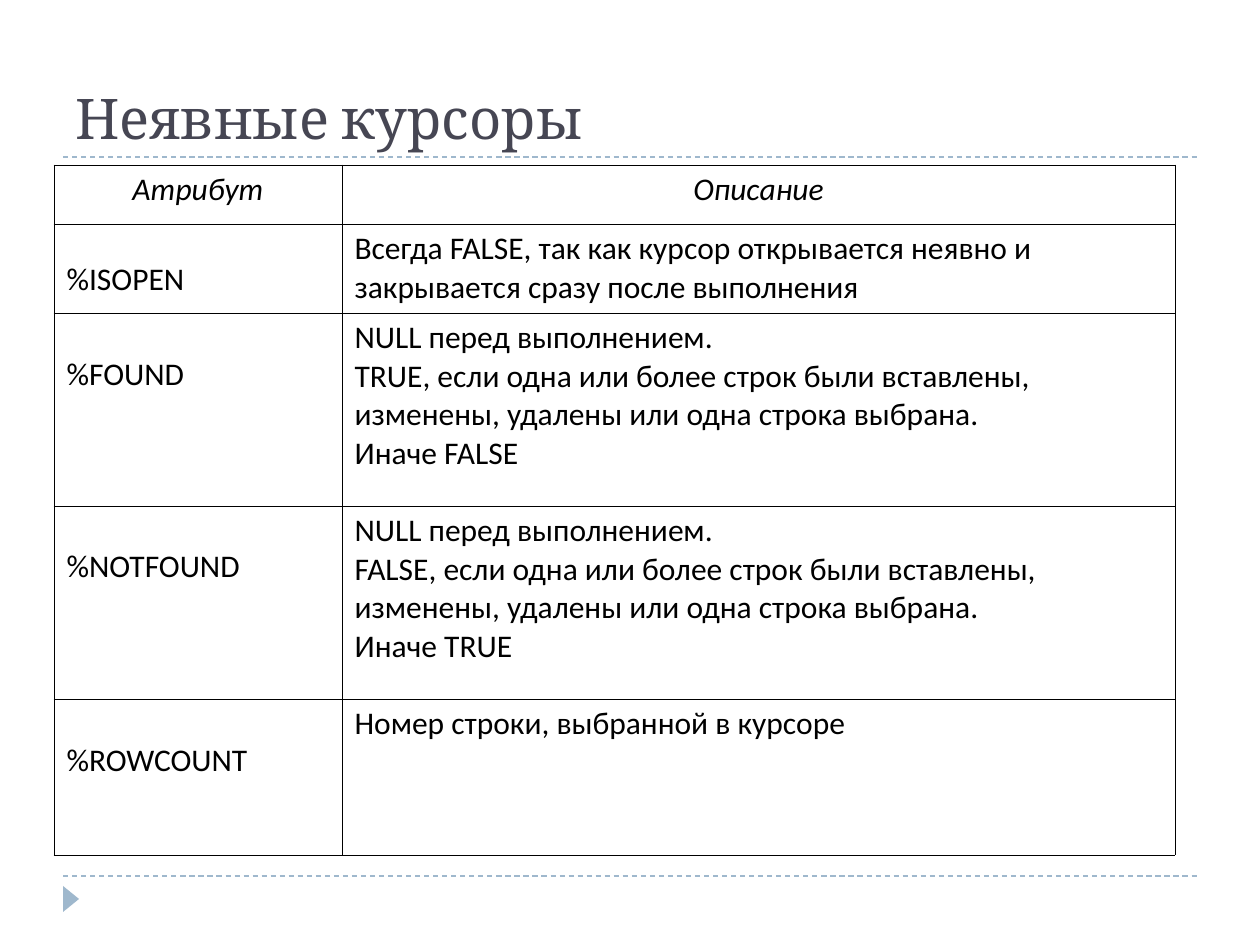
from dataclasses import dataclass

from lxml import etree
from pptx import Presentation
from pptx.dml.color import RGBColor as RGB
from pptx.enum.dml import MSO_LINE as Dash
from pptx.enum.shapes import MSO_CONNECTOR as Connector, MSO_SHAPE as Shape
from pptx.enum.text import MSO_ANCHOR as Anchor, PP_ALIGN as Align
from pptx.oxml.ns import qn
from pptx.util import Emu, Pt

SCALE = 914400 / 126  # EMU in one px


@dataclass(frozen=True)
class Theme:
    title: str = "464653"
    ink: str = "000000"
    accent: str = "9FB8CD"
    title_font: str = "Cambria"
    body_font: str = "Calibri"
    title_size: int = 32
    body_size: int = 18
    rule_width: float = 0.75
    border_width: float = 0.45


THEME = Theme()

COLUMNS = (288, 833)
ROW_HEIGHTS = (59, 89, 193, 193, 156)
CELL_MARGIN = 6
HEADINGS = ("Атрибут", "Описание")
# Attribute, its drop below the row's first line in px, description
ATTRIBUTES = (
    ("%ISOPEN", 31, ("Всегда FALSE, так как курсор открывается неявно и "
                     "закрывается сразу после выполнения",)),
    ("%FOUND", 37, ("NULL перед выполнением.",
                    "TRUE, если одна или более строк были вставлены, "
                    "изменены, удалены или одна строка выбрана.",
                    "Иначе FALSE")),
    ("%NOTFOUND", 36, ("NULL перед выполнением.",
                       "FALSE, если одна или более строк были вставлены, "
                       "изменены, удалены или одна строка выбрана.",
                       "Иначе TRUE")),
    ("%ROWCOUNT", 37, ("Номер строки, выбранной в курсоре",)),
)


def px(*lengths):
    return [Emu(round(length * SCALE)) for length in lengths]


def write(frame, *lines, font=THEME.body_font, size=THEME.body_size,
          color=THEME.ink, italic=False, align=Align.LEFT):
    frame.word_wrap = True
    for index, line in enumerate(lines):
        para = frame.add_paragraph() if index else frame.paragraphs[0]
        para.alignment = align
        span = para.add_run()
        span.text = line
        span.font.name = font
        span.font.size = Pt(size)
        span.font.italic = italic
        span.font.color.rgb = RGB.from_string(color)


def add_title(page, text):
    box = page.shapes.add_textbox(*px(63, 21, 1134, 136))
    box.text_frame.vertical_anchor = Anchor.BOTTOM
    write(box.text_frame, text, font=THEME.title_font,
          size=THEME.title_size, color=THEME.title)


def add_rule(page, top):
    rule = page.shapes.add_connector(Connector.STRAIGHT,
                                     *px(63, top, 1197, top))
    rule.line.color.rgb = RGB.from_string(THEME.accent)
    rule.line.width = Pt(THEME.rule_width)
    rule.line.dash_style = Dash.DASH
    etree.SubElement(rule._element.spPr, qn("a:effectLst"))


def add_marker(page):
    marker = page.shapes.add_shape(Shape.ISOSCELES_TRIANGLE,
                                   *px(58, 891, 26, 16))
    marker.rotation = 90
    marker.shadow.inherit = False
    marker.fill.solid()
    marker.fill.fore_color.rgb = RGB.from_string(THEME.accent)
    marker.line.fill.background()


def add_borders(cell):
    properties = cell._tc.get_or_add_tcPr()
    for side in ("a:lnL", "a:lnR", "a:lnT", "a:lnB"):
        border = etree.SubElement(properties, qn(side),
                                  w=str(Pt(THEME.border_width)))
        fill = etree.SubElement(border, qn("a:solidFill"))
        etree.SubElement(fill, qn("a:srgbClr"), val=THEME.ink)


def fill_cell(cell, *lines, drop=0, **style):
    add_borders(cell)
    cell.fill.background()
    cell.margin_top, cell.margin_bottom = px(CELL_MARGIN + drop, CELL_MARGIN)
    write(cell.text_frame, *lines, **style)


def add_attribute_table(page):
    frame = page.shapes.add_table(
        len(ROW_HEIGHTS), len(COLUMNS),
        *px(54, 165, sum(COLUMNS), sum(ROW_HEIGHTS)))
    table = frame.table
    table.first_row = table.horz_banding = False
    for column, width in zip(table.columns, px(*COLUMNS)):
        column.width = width
    for row, height in zip(table.rows, px(*ROW_HEIGHTS)):
        row.height = height

    for index, heading in enumerate(HEADINGS):
        fill_cell(table.cell(0, index), heading,
                  italic=True, align=Align.CENTER)
    for index, (name, drop, description) in enumerate(ATTRIBUTES, start=1):
        fill_cell(table.cell(index, 0), name, drop=drop)
        fill_cell(table.cell(index, 1), *description)


def main():
    deck = Presentation()
    deck.slide_width, deck.slide_height = px(1260, 945)
    page = deck.slides.add_slide(deck.slide_layouts[6])

    # Page frame
    for top in (876, 157):
        add_rule(page, top)
    add_marker(page)

    # Content
    add_title(page, "Неявные курсоры")
    add_attribute_table(page)

    deck.save("out.pptx")


if __name__ == "__main__":
    main()
